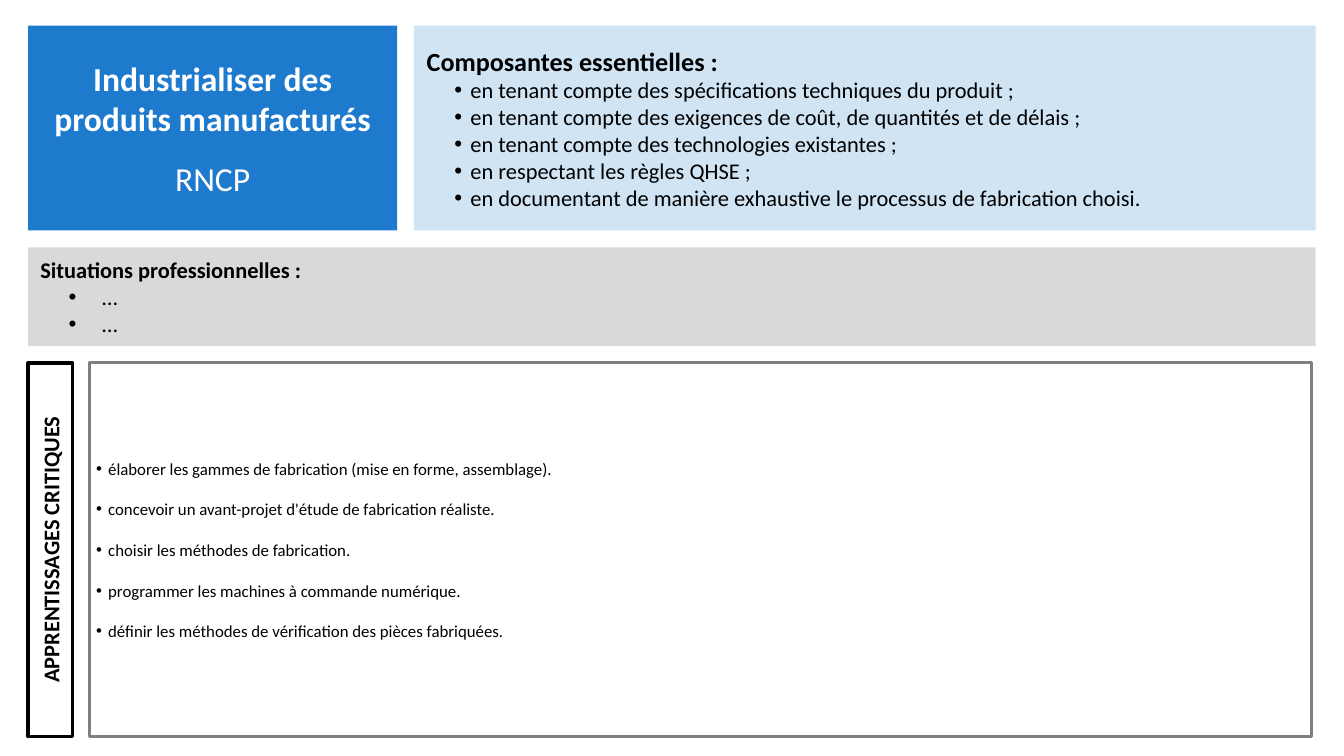
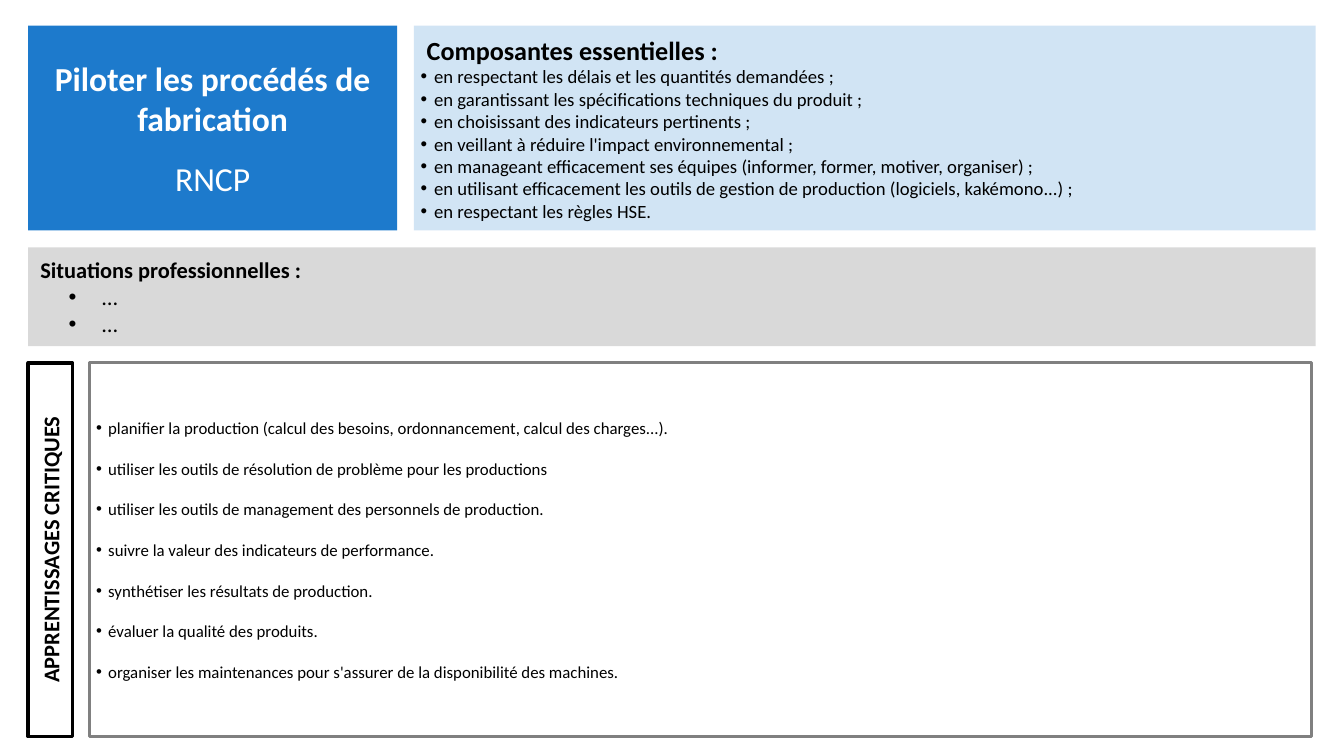
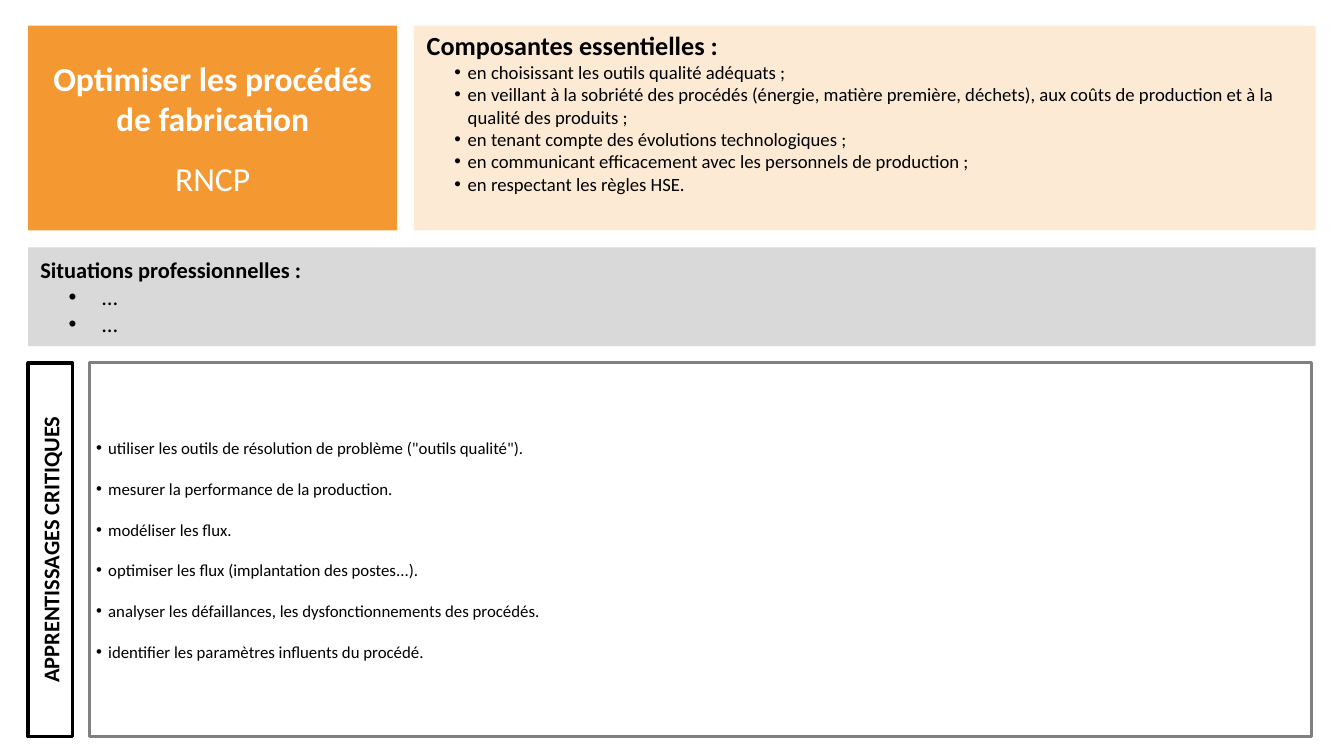
import pptx
import pptx.dml.color
import pptx.enum.text
import pptx.oxml
import pptx.oxml.ns
import pptx.util
from lxml import etree

SLIDES = [
    {
        "title": "Industrialiser des produits manufacturés",
        "color": "1D7ACC",
        "component_format": {"size": 24, "indent": 0.5},
        "components": [
            "en tenant compte des spécifications techniques du produit ;",
            "en tenant compte des exigences de coût, de quantités et de délais ;",
            "en tenant compte des technologies existantes ;",
            "en respectant les règles QHSE ;",
            "en documentant de manière exhaustive le processus de fabrication choisi.",
        ],
        "learnings": [
            "élaborer les gammes de fabrication (mise en forme, assemblage).",
            "concevoir un avant-projet d'étude de fabrication réaliste.",
            "choisir les méthodes de fabrication.",
            "programmer les machines à commande numérique.",
            "définir les méthodes de vérification des pièces fabriquées.",
        ],
    },
    {
        "title": "Piloter les procédés de fabrication",
        "color": "1D7ACC",
        "component_format": {"size": 20, "indent": 0},
        "components": [
            "en respectant les délais et les quantités demandées ;",
            "en garantissant les spécifications techniques du produit ;",
            "en choisissant des indicateurs pertinents ;",
            "en veillant à réduire l'impact environnemental ;",
            "en manageant efficacement ses équipes (informer, former, motiver, organiser) ;",
            "en utilisant efficacement les outils de gestion de production (logiciels, kakémono...) ;",
            "en respectant les règles HSE.",
        ],
        "learnings": [
            "planifier la production (calcul des besoins, ordonnancement, calcul des charges...).",
            "utiliser les outils de résolution de problème pour les productions",
            "utiliser les outils de management des personnels de production.",
            "suivre la valeur des indicateurs de performance.",
            "synthétiser les résultats de production.",
            "évaluer la qualité des produits.",
            "organiser les maintenances pour s'assurer de la disponibilité des machines.",
        ],
    },
    {
        "title": "Optimiser les procédés de fabrication",
        "color": "F49831",
        "component_format": {"size": 20, "indent": 0.5},
        "component_bottom": 0.52,
        "components": [
            "en choisissant les outils qualité adéquats ;",
            "en veillant à la sobriété des procédés (énergie, matière première, déchets), "
            "aux coûts de production et à la qualité des produits ;",
            "en tenant compte des évolutions technologiques ;",
            "en communicant efficacement avec les personnels de production ;",
            "en respectant les règles HSE.",
        ],
        "learnings": [
            'utiliser les outils de résolution de problème ("outils qualité").',
            "mesurer la performance de la production.",
            "modéliser les flux.",
            "optimiser les flux (implantation des postes...).",
            "analyser les défaillances, les dysfonctionnements des procédés.",
            "identifier les paramètres influents du procédé.",
        ],
    },
]
SITUATIONS = ["…", "…"]

FONT = "Calibri"
BLACK, WHITE, GREY, FRAME = "000000", "FFFFFF", "D9D9D9", "808080"
WIDTH, HEIGHT = 20, 11.25
MARGIN, TOP, GAP = 0.42, 0.38, 0.25
FULL = WIDTH - 2 * MARGIN
TITLE_WIDTH, LABEL_WIDTH = 5.49, 0.66
HEADER_HEIGHT, BAND_HEIGHT, FRAME_HEIGHT = 3.05, 1.47, 5.56
BAND_TOP = TOP + HEADER_HEIGHT + GAP
FRAME_TOP = BAND_TOP + BAND_HEIGHT + GAP
COMPONENT_LEFT = MARGIN + TITLE_WIDTH + GAP
FRAME_LEFT = MARGIN + LABEL_WIDTH + GAP
LABEL_OFFSET = (FRAME_HEIGHT - LABEL_WIDTH) / 2

AREAS = {
    "title": (MARGIN, TOP, TITLE_WIDTH, HEADER_HEIGHT),
    "situations": (MARGIN, BAND_TOP, FULL, BAND_HEIGHT),
    "components": (COMPONENT_LEFT, TOP, WIDTH - MARGIN - COMPONENT_LEFT, HEADER_HEIGHT),
    "label": (MARGIN - LABEL_OFFSET, FRAME_TOP + LABEL_OFFSET, FRAME_HEIGHT, LABEL_WIDTH),
    "learnings": (FRAME_LEFT, FRAME_TOP, 18.19, FRAME_HEIGHT),
}


def rgb(value):
    return pptx.dml.color.RGBColor.from_string(value)


def add_text(box, text, size=24, color=BLACK, bold=False, center=False,
             indent=0, bullet=False, hang=None, before=0, spacing=1):
    frame = box.text_frame
    first = not frame.paragraphs[0].runs
    para = frame.paragraphs[0] if first else frame.add_paragraph()
    align = pptx.enum.text.PP_ALIGN
    para.alignment = align.CENTER if center else align.LEFT
    para.line_spacing = spacing
    para.space_before = pptx.util.Pt(0 if first else before)
    para.space_after = pptx.util.Pt(0)
    hang = (size / 100 if hang is None else hang) if bullet else 0
    properties = para._p.get_or_add_pPr()
    properties.set("marL", str(int(pptx.util.Inches(indent + hang))))
    properties.set("indent", str(int(pptx.util.Inches(-hang))))
    mark = etree.SubElement(properties, pptx.oxml.ns.qn("a:buChar" if bullet else "a:buNone"))
    if bullet:
        mark.set("char", "•")
    span = para.add_run()
    span.text = text
    span.font.name = FONT
    span.font.size = pptx.util.Pt(size)
    span.font.bold = bold
    span.font.color.rgb = rgb(color)


def style_panel(box, area, fill, opacity=100, line=None, line_width=0, bottom=0.05):
    box.left, box.top, box.width, box.height = map(pptx.util.Inches, area)
    box.fill.solid()
    box.fill.fore_color.rgb = rgb(fill)
    if opacity < 100:
        color = box._element.spPr.find(".//" + pptx.oxml.ns.qn("a:srgbClr"))
        etree.SubElement(color, pptx.oxml.ns.qn("a:alpha")).set("val", str(opacity * 1000))
    if line:
        box.line.color.rgb = rgb(line)
        box.line.width = pptx.util.Pt(line_width)
    else:
        box.line.fill.background()
    frame = box.text_frame
    frame.word_wrap = True
    frame.auto_size = pptx.enum.text.MSO_AUTO_SIZE.NONE
    frame.vertical_anchor = pptx.enum.text.MSO_ANCHOR.MIDDLE
    frame.margin_left = frame.margin_right = pptx.util.Inches(0.1)
    frame.margin_top = pptx.util.Inches(0.05)
    frame.margin_bottom = pptx.util.Inches(bottom)


def add_page(deck, content):
    page = deck.slides.add_slide(deck.slide_layouts.get_by_name("Comparison"))
    title, situations, components, label, learnings = page.placeholders

    style_panel(title, AREAS["title"], content["color"])
    add_text(title, content["title"], size=36, color=WHITE, bold=True, center=True)
    add_text(title, "RNCP", size=36, color=WHITE, center=True, spacing=1.5)

    style_panel(situations, AREAS["situations"], GREY)
    add_text(situations, "Situations professionnelles :", bold=True, indent=0.08)
    for text in SITUATIONS:
        add_text(situations, text, bullet=True, indent=0.5, hang=0.5)

    style_panel(components, AREAS["components"], content["color"], opacity=20,
                bottom=content.get("component_bottom", 0.05))
    add_text(components, "Composantes essentielles :", size=28, bold=True, indent=0.09)
    for text in content["components"]:
        add_text(components, text, bullet=True, **content["component_format"])

    style_panel(label, AREAS["label"], WHITE, line=BLACK, line_width=3.75)
    label.rotation = 270
    add_text(label, "APPRENTISSAGES CRITIQUES", bold=True, center=True)

    style_panel(learnings, AREAS["learnings"], WHITE, line=FRAME, line_width=3)
    for text in content["learnings"]:
        add_text(learnings, text, size=18, bullet=True, before=22)


def main():
    deck = pptx.Presentation()
    deck.slide_width = pptx.util.Inches(WIDTH)
    deck.slide_height = pptx.util.Inches(HEIGHT)
    for content in SLIDES:
        add_page(deck, content)
    deck.save("out.pptx")


if __name__ == "__main__":
    main()
